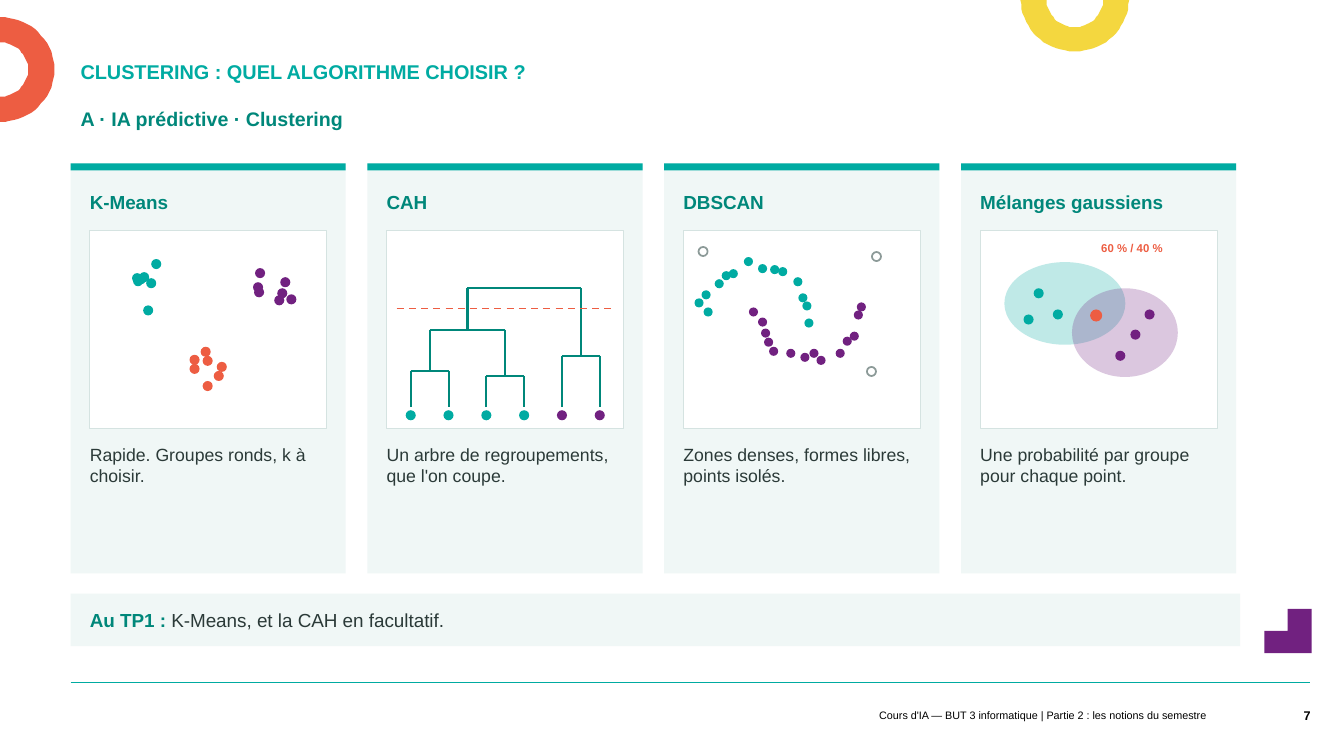
import math
import lxml.etree
import pptx
import pptx.dml.color
import pptx.enum.dml
import pptx.enum.shapes
import pptx.enum.text
import pptx.oxml.ns
import pptx.util

COLORS = {
    "teal": "00ABA2", "rule": "00ABA1", "green": "00877A", "purple": "712180",
    "orange": "ED5D42", "yellow": "F4D73F", "card": "F0F7F6", "border": "D5E3E1",
    "grey": "8C9A98", "ink": "2B3A38", "black": "000000", "white": "FFFFFF",
}
RGB = {name: pptx.dml.color.RGBColor.from_string(value) for name, value in COLORS.items()}
RECTANGLE = pptx.enum.shapes.MSO_SHAPE.RECTANGLE
OVAL = pptx.enum.shapes.MSO_SHAPE.OVAL
ANCHOR = pptx.enum.text.MSO_ANCHOR
ALIGN = pptx.enum.text.PP_ALIGN
UNIT = pptx.util.Inches(0.01)

presentation = pptx.Presentation()
presentation.slide_width = pptx.util.Inches(13.33)
presentation.slide_height = pptx.util.Inches(7.5)
slide = presentation.slides.add_slide(presentation.slide_layouts[6])


def add_shape(kind, left, top, width, height, fill, line=None, weight=0.75):
    box = [round(length * UNIT) for length in (left, top, width, height)]
    shape = slide.shapes.add_shape(kind, *box)
    shape.shadow.inherit = False
    shape.fill.solid()
    shape.fill.fore_color.rgb = RGB[fill]
    if line:
        shape.line.color.rgb = RGB[line]
        shape.line.width = pptx.util.Pt(weight)
    else:
        shape.line.fill.background()
    return shape


def add_text(left, top, width, height, size, runs, anchor=ANCHOR.TOP,
             insets=(0, 0, 0, 0), align=ALIGN.LEFT, spacing=None):
    box = [round(length * UNIT) for length in (left, top, width, height)]
    frame = slide.shapes.add_textbox(*box).text_frame
    frame.word_wrap = True
    frame.vertical_anchor = anchor
    frame.margin_left, frame.margin_top, frame.margin_right, frame.margin_bottom = [
        inset * UNIT for inset in insets]
    paragraph = frame.paragraphs[0]
    paragraph.alignment = align
    if spacing:
        paragraph.line_spacing = spacing
    for text, color, bold in runs:
        run = paragraph.add_run()
        run.text = text
        run.font.name = "Arial"
        run.font.size = pptx.util.Pt(size)
        run.font.bold = bold
        run.font.color.rgb = RGB[color]


half_rings = [
    (1066, 0, 53.5, 51, 28, 27, 0, "yellow"),
    (0, 69, 54, 52, 28, 27, -90, "orange"),
]
outlines = [([(1277, 604), (1301, 604), (1301, 648), (1254, 648), (1254, 626), (1277, 626)],
             "purple")]
for x, y, outer_x, outer_y, inner_x, inner_y, start, color in half_rings:
    angles = [math.radians(start + step) for step in range(0, 181, 5)]
    outer = [(x + outer_x * math.cos(a), y + outer_y * math.sin(a)) for a in angles]
    inner = [(x + inner_x * math.cos(a), y + inner_y * math.sin(a)) for a in reversed(angles)]
    outlines.append((outer + inner, color))
for points, color in outlines:
    builder = slide.shapes.build_freeform(*points[0], scale=UNIT)
    builder.add_line_segments(points[1:], close=True)
    outline = builder.convert_to_shape()
    outline.shadow.inherit = False
    outline.fill.solid()
    outline.fill.fore_color.rgb = RGB[color]
    outline.line.fill.background()

margins = (10, 5, 10, 5)
add_text(70, 104, 972, 46, 14, [("A · IA prédictive · Clustering", "green", True)],
         insets=margins, spacing=0.9)
add_text(70, 54, 972, 34, 14.2, [("CLUSTERING : QUEL ALGORITHME CHOISIR ?", "teal", True)],
         ANCHOR.BOTTOM, margins, spacing=pptx.util.Pt(16.7))
add_text(543, 698, 663, 23, 7.7,
         [("Cours d'IA — BUT 3 informatique | Partie 2 : les notions du semestre", "black", False)],
         ANCHOR.MIDDLE, margins, ALIGN.RIGHT)
add_text(1245, 690, 55, 40, 9, [("7", "black", True)], ANCHOR.MIDDLE, (10, 5, 0, 5), ALIGN.RIGHT)

cards = [
    ("K-Means", "Rapide. Groupes ronds, k à choisir."),
    ("CAH", "Un arbre de regroupements, que l'on coupe."),
    ("DBSCAN", "Zones denses, formes libres, points isolés."),
    ("Mélanges gaussiens", "Une probabilité par groupe pour chaque point."),
]
panel_top = 229
panel_lefts = [89 + 294.4 * column for column in range(len(cards))]
for panel_left, (name, summary) in zip(panel_lefts, cards):
    add_shape(RECTANGLE, panel_left - 19, 162, 273, 407, "card")
    add_shape(RECTANGLE, panel_left - 19, 162, 273, 7, "teal")
    add_text(panel_left, 177, 235, 46, 13.5, [(name, "green", True)], ANCHOR.MIDDLE)
    add_shape(RECTANGLE, panel_left, panel_top, 235, 196, "white", "border")
    add_text(panel_left, 440, 235, 118, 12.6, [(summary, "ink", False)])
kmeans_left, cah_left, dbscan_left, mixture_left = panel_lefts

leaf_x = [24 + 37.5 * leaf for leaf in range(6)]
merges = [(0, 175, 1, 175, 139), (2, 175, 3, 175, 144), (0.5, 139, 2.5, 144, 98),
          (4, 175, 5, 175, 124), (1.5, 98, 4.5, 124, 57)]
lines = [(70, 677, 1299, 677, "rule", 0.5, False)]
for first, first_bottom, second, second_bottom, height in merges:
    left, right = [cah_left + leaf_x[0] + 37.5 * position for position in (first, second)]
    corners = [(left, first_bottom), (left, height), (right, height), (right, second_bottom)]
    for (x1, y1), (x2, y2) in zip(corners, corners[1:]):
        lines.append((x1, panel_top + y1, x2, panel_top + y2, "green", 1.5, False))
lines.append((cah_left + 10, panel_top + 77, cah_left + 226, panel_top + 77, "orange", 1.25, True))
for x1, y1, x2, y2, color, weight, dashed in lines:
    connector = slide.shapes.add_connector(
        pptx.enum.shapes.MSO_CONNECTOR.STRAIGHT,
        *[round(length * UNIT) for length in (x1, y1, x2, y2)])
    connector.line.color.rgb = RGB[color]
    connector.line.width = pptx.util.Pt(weight)
    if dashed:
        connector.line.dash_style = pptx.enum.dml.MSO_LINE.DASH
    lxml.etree.SubElement(connector._element.spPr, pptx.oxml.ns.qn("a:effectLst"))

for x, y, width, height, color in [(24, 31, 120, 82, "teal"), (91, 57, 105, 88, "purple")]:
    cluster = add_shape(OVAL, mixture_left + x, panel_top + y, width, height, color)
    rgb_element = cluster._element.spPr.find(".//" + pptx.oxml.ns.qn("a:srgbClr"))
    lxml.etree.SubElement(rgb_element, pptx.oxml.ns.qn("a:alpha"), val="25000")

dot_groups = [
    (kmeans_left, 10, "teal", None,
     [(42, 42), (46, 43), (61, 28), (49, 41), (43, 45), (53, 74), (56, 47)]),
    (kmeans_left, 10, "purple", None,
     [(163, 56), (189, 46), (162, 51), (183, 64), (164, 37), (186, 57), (195, 63)]),
    (kmeans_left, 10, "orange", None,
     [(99, 132), (112, 124), (126, 130), (112, 149), (110, 115), (99, 123), (123, 139)]),
    (cah_left, 10, "teal", None, [(x - 5, 178) for x in leaf_x[:4]]),
    (cah_left, 10, "purple", None, [(x - 5, 178) for x in leaf_x[4:]]),
    (dbscan_left, 9, "teal", None,
     [(120, 87), (118, 70), (114, 62), (109, 46), (94, 36), (86, 34), (74, 33),
      (60, 26), (45, 38), (38, 40), (31, 48), (18, 59), (11, 67), (20, 76)]),
    (dbscan_left, 9, "purple", None,
     [(65, 76), (74, 86), (77, 97), (80, 106), (85, 115), (102, 117), (116, 121),
      (125, 117), (132, 124), (151, 117), (158, 105), (165, 100), (169, 79), (172, 71)]),
    (dbscan_left, 9, "white", "grey", [(15, 16), (187, 21), (182, 135)]),
    (mixture_left, 10, "teal", None, [(53, 57), (72, 78), (43, 83)]),
    (mixture_left, 10, "purple", None, [(149, 98), (163, 78), (134, 119)]),
    (mixture_left, 12, "orange", None, [(109, 78)]),
]
for panel_left, diameter, color, outline_color, dots in dot_groups:
    for x, y in dots:
        add_shape(OVAL, panel_left + x, panel_top + y, diameter, diameter,
                  color, outline_color, 1.25)
add_text(mixture_left + 120, panel_top + 10, 86, 26, 8.1, [("60 % / 40 %", "orange", True)])

add_shape(RECTANGLE, 70, 589, 1160, 52, "card")
add_text(89, 589, 1131, 52, 13.5,
         [("Au TP1 : ", "green", True), ("K-Means, et la CAH en facultatif.", "ink", False)],
         ANCHOR.MIDDLE)

presentation.save("out.pptx")
